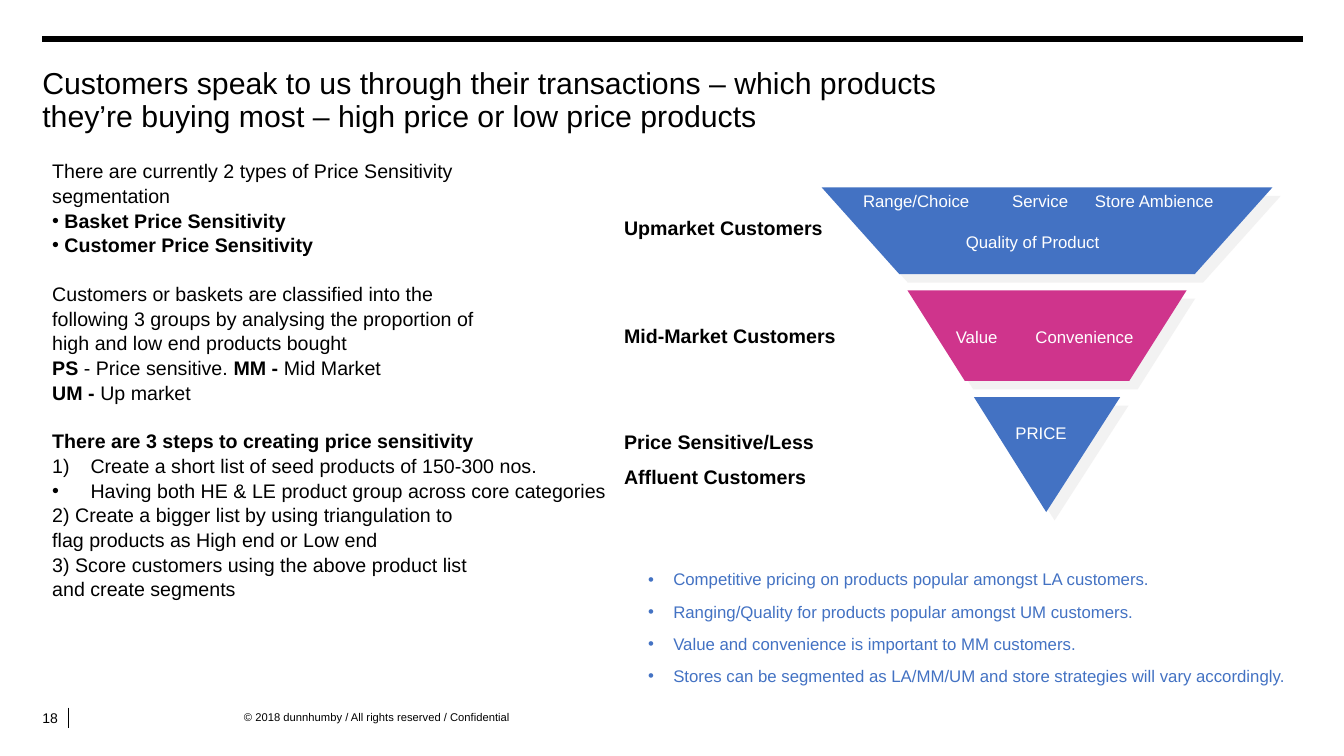
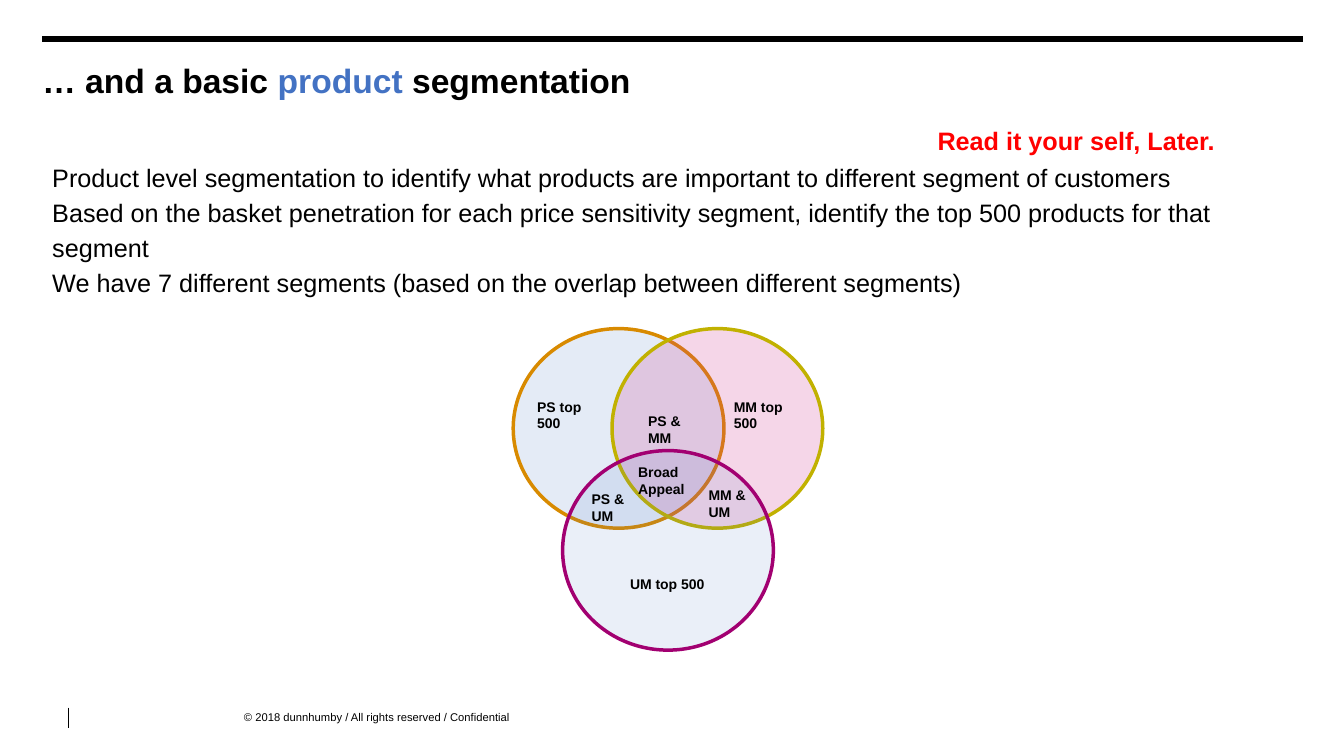
from lxml.etree import SubElement
from pptx import Presentation
from pptx.dml.color import RGBColor
from pptx.enum.shapes import MSO_CONNECTOR, MSO_SHAPE
from pptx.enum.text import MSO_ANCHOR
from pptx.oxml.ns import qn
from pptx.util import Pt

PX = 9144
FONT = "Arial"
BLACK = RGBColor(0x00, 0x00, 0x00)
WHITE = RGBColor(0xFF, 0xFF, 0xFF)
RED = RGBColor(0xFF, 0x00, 0x00)
BLUE = RGBColor(0x43, 0x72, 0xC3)
PINK = RGBColor(0xCF, 0x34, 0x8C)
ORANGE = RGBColor(0xD8, 0x8A, 0x00)
OLIVE = RGBColor(0xC1, 0xB1, 0x00)
PURPLE = RGBColor(0xA2, 0x00, 0x71)
SHADOW = RGBColor(0xE7, 0xE6, 0xE6)
TIGHT = (8, 4)


def px(*lengths):
    return [length * PX for length in lengths]


def write(p, text, size=14, color=BLACK, bold=False, before=0,
          spacing=None, bullet=None, indent=0):
    if bullet:
        pPr = p._p.get_or_add_pPr()
        pPr.set("marL", str(indent * PX))
        pPr.set("indent", str(-indent * PX))
        if bullet == "1)":
            SubElement(pPr, qn("a:buAutoNum"), type="arabicParenR")
        else:
            SubElement(pPr, qn("a:buFont"), typeface=FONT)
            SubElement(pPr, qn("a:buChar"), char=bullet)
    if before:
        p.space_before = Pt(before)
    if spacing:
        p.line_spacing = spacing
    runs = [(text, {})] if isinstance(text, str) else text
    for content, change in runs:
        for i, line in enumerate(content.split("\n")):
            if i:
                p.add_line_break()
            r = p.add_run()
            r.text = line
            r.font.name = FONT
            r.font.size = Pt(size)
            r.font.bold = change.get("bold", bold)
            r.font.color.rgb = change.get("color", color)


class Deck:
    def __init__(self):
        self.prs = Presentation()
        self.prs.slide_width, self.prs.slide_height = px(1333, 750)
        self.shapes = None

    def slide(self, title, size, bold=False, number=None):
        self.shapes = self.prs.slides.add_slide(self.prs.slide_layouts[6]).shapes
        self.line(42, 39, 1292, 39, 4)
        self.line(68, 702, 68, 722, 1)
        self.text(242, 705, 344, 13,
                  "© 2018 dunnhumby / All rights reserved / Confidential",
                  inset=(0, 0), size=8)
        self.text(42, 66, 1250, 44, title, inset=(0, 0), size=size,
                  bold=bold, spacing=Pt(24))
        if number:
            self.text(42, 692, 26, 40, number, inset=(0, 0),
                      anchor=MSO_ANCHOR.MIDDLE, size=10)

    def text(self, x, y, w, h, *paras, inset=(10, 5), anchor=MSO_ANCHOR.TOP, **fmt):
        tf = self.shapes.add_textbox(*px(x, y, w, h)).text_frame
        tf.word_wrap = True
        tf.vertical_anchor = anchor
        tf.margin_left = tf.margin_right = inset[0] * PX
        tf.margin_top = tf.margin_bottom = inset[1] * PX
        for i, para in enumerate(paras):
            content, change = para if isinstance(para, tuple) else (para, {})
            p = tf.add_paragraph() if i else tf.paragraphs[0]
            style = {**fmt, **change}
            if not i:
                style["before"] = 0
            write(p, content, **style)

    def line(self, x1, y1, x2, y2, width):
        cxn = self.shapes.add_connector(MSO_CONNECTOR.STRAIGHT, *px(x1, y1, x2, y2))
        cxn.line.color.rgb = BLACK
        cxn.line.width = Pt(width)
        SubElement(cxn._element.spPr, qn("a:effectLst"))

    def tier(self, sp, color):
        sp.fill.solid()
        sp.fill.fore_color.rgb = color
        sp.line.fill.background()
        sp.shadow.inherit = False
        effects = sp._element.spPr.find(qn("a:effectLst"))
        shadow = SubElement(effects, qn("a:outerShdw"), blurRad="0",
                            dist=str(Pt(8.5)), dir="2700000", rotWithShape="0")
        clr = SubElement(shadow, qn("a:srgbClr"), val=str(SHADOW))
        SubElement(clr, qn("a:alpha"), val="50000")

    def triangle(self, x, y, w, h, color):
        sp = self.shapes.add_shape(MSO_SHAPE.ISOSCELES_TRIANGLE, *px(x, y, w, h))
        sp.adjustments[0] = 0.506
        sp.rotation = 180
        self.tier(sp, color)

    def trapezoid(self, x, y, w, h, slant, color):
        outline = self.shapes.build_freeform(x, y, scale=PX)
        outline.add_line_segments(
            [(x + slant, y + h), (x + w - slant, y + h), (x + w, y)])
        self.tier(outline.convert_to_shape(), color)

    def circle(self, x, y, fill, opacity, line):
        sp = self.shapes.add_shape(MSO_SHAPE.OVAL, *px(x, y, 209, 198))
        sp.shadow.inherit = False
        sp.fill.solid()
        sp.fill.fore_color.rgb = fill
        clr = sp._element.spPr.find(qn("a:solidFill")).find(qn("a:srgbClr"))
        SubElement(clr, qn("a:alpha"), val=str(opacity * 1000))
        sp.line.color.rgb = line
        sp.line.width = Pt(2.5)


def price_sensitivity(deck):
    strong, plain = {"bold": True}, {}
    dot = {"bullet": "•", "indent": 12, "bold": True}
    new_group = {"before": 17}
    deck.slide("Customers speak to us through their transactions – which products\n"
               "they’re buying most – high price or low price products",
               21.6, number="18")
    deck.text(
        42, 152, 1250, 516,
        "There are currently 2 types of Price Sensitivity",
        "segmentation",
        ("Basket Price Sensitivity", dot),
        ("Customer Price Sensitivity", dot),
        ("Customers or baskets are classified into the", new_group),
        "following 3 groups by analysing the proportion of",
        "high and low end products bought",
        ([("PS ", strong), ("- Price sensitive. ", plain),
          ("MM - ", strong), ("Mid Market", plain)], {}),
        ([("UM - ", strong), ("Up market", plain)], {}),
        ("There are 3 steps to creating price sensitivity", {**new_group, **strong}),
        ("Create a short list of seed products of 150-300 nos.",
         {"bullet": "1)", "indent": 38}),
        ("Having both HE & LE product group across core categories",
         {"bullet": "•", "indent": 38}),
        "2) Create a bigger list by using triangulation to",
        "flag products as High end or Low end",
        "3) Score customers using the above product list",
        "and create segments",
        spacing=1.05)

    deck.triangle(966, 394, 145, 114, BLUE)
    deck.trapezoid(900, 288, 277, 90, 57, PINK)
    deck.trapezoid(815, 186, 447, 86, 77, BLUE)
    for x, y, w, label in [
            (848, 185, 151, "Range/Choice"), (950, 226, 190, "Quality of Product"),
            (996, 185, 86, "Service"), (1078, 185, 165, "Store Ambience"),
            (940, 320, 79, "Value"), (999, 415, 82, "PRICE"),
            (1019, 320, 158, "Convenience")]:
        deck.text(x, y, w, 29, label, inset=TIGHT, size=12, color=WHITE)
    for y, lines in [(210, ["Upmarket Customers"]), (317, ["Mid-Market Customers"]),
                     (423, ["Price Sensitive/Less", "Affluent Customers"])]:
        deck.text(611, y, 257, 33 * len(lines), *lines, inset=TIGHT,
                  bold=True, before=8)
    deck.text(
        633, 562, 690, 102,
        "Competitive pricing on products popular amongst LA customers.",
        "Ranging/Quality for products popular amongst UM customers.",
        "Value and convenience is important to MM customers.",
        "Stores can be segmented as LA/MM/UM and store strategies will vary accordingly.",
        size=12, color=BLUE, bullet="•", indent=25, before=10, spacing=0.9)


def product_segmentation(deck):
    title = [("… and a basic ", {}), ("product", {"color": BLUE}), (" segmentation", {})]
    deck.slide((title, {}), 24, bold=True)
    deck.text(
        42, 152, 1250, 516,
        "Product level segmentation to identify what products are important "
        "to different segment of customers",
        "Based on the basket penetration for each price sensitivity segment, "
        "identify the top 500 products for that segment",
        "We have 7 different segments (based on the overlap between different segments)",
        size=18, spacing=1.15)
    deck.circle(509, 326, BLUE, 14, ORANGE)
    deck.circle(607, 326, PINK, 20, OLIVE)
    deck.circle(558, 447, BLUE, 11, PURPLE)
    for x, y, w, label in [
            (623, 455, 75, "Broad Appeal"), (523, 390, 83, "PS top 500"),
            (718, 390, 88, "MM top 500"), (615, 566, 98, "UM top 500"),
            (577, 482, 57, "PS & UM"), (693, 478, 57, "MM & UM"),
            (633, 404, 57, "PS & MM")]:
        deck.text(x, y, w, 28, label, size=10, bold=True)
    deck.text(920, 119, 335, 40, "Read it your self, Later.",
              size=18, color=RED, bold=True)


def main():
    deck = Deck()
    price_sensitivity(deck)
    product_segmentation(deck)
    deck.prs.save("out.pptx")


if __name__ == "__main__":
    main()
